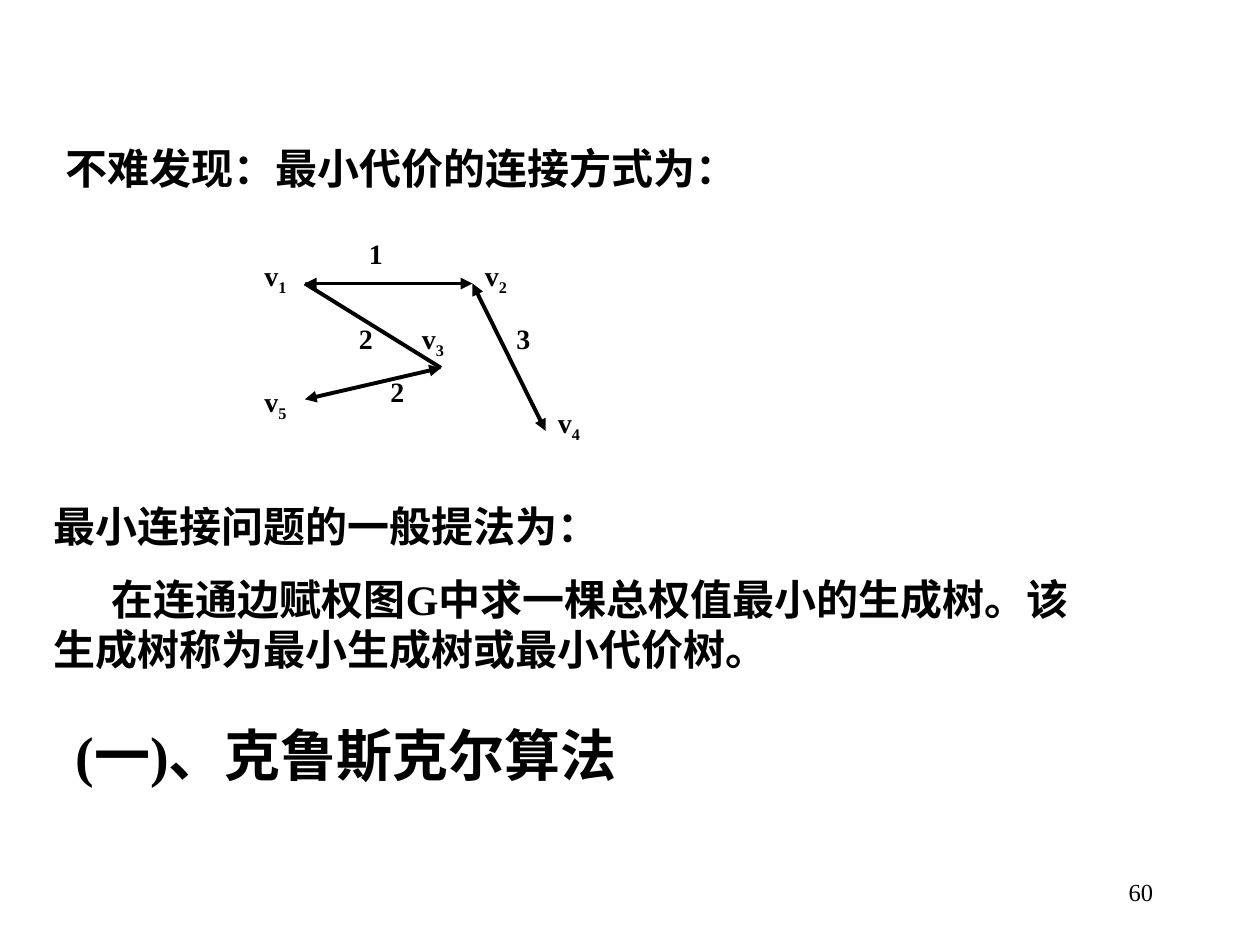
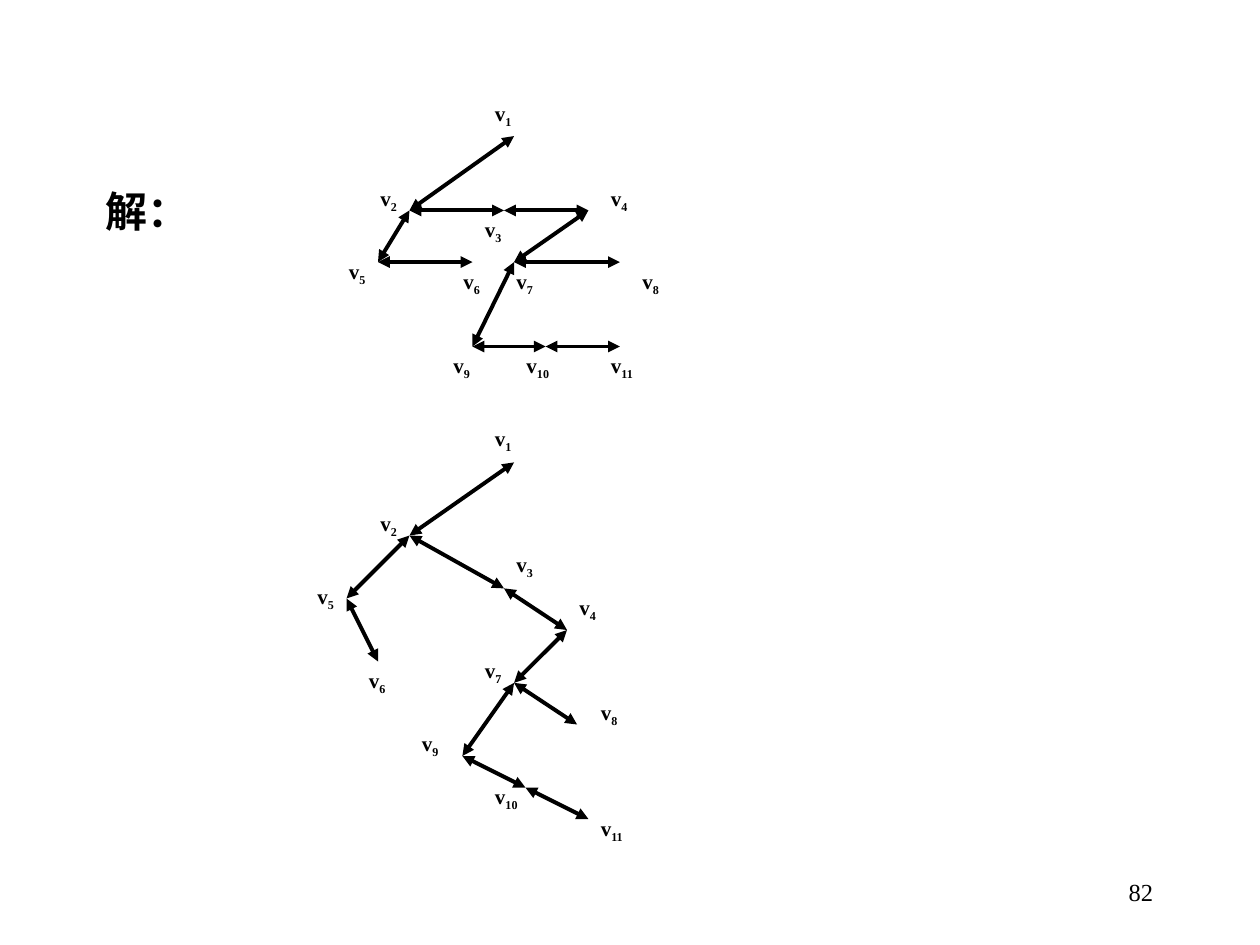
from dataclasses import dataclass

from lxml.etree import SubElement
from pptx import Presentation
from pptx.dml.color import RGBColor
from pptx.enum.shapes import MSO_CONNECTOR
from pptx.enum.text import MSO_ANCHOR, MSO_AUTO_SIZE, PP_ALIGN
from pptx.oxml.ns import qn
from pptx.shapes.connector import Connector
from pptx.shapes.group import GroupShape
from pptx.slide import Slide
from pptx.text.text import _Paragraph as Paragraph
from pptx.util import Inches, Pt

COLORS = {"ink": "000000", "paper": "FFFFFF"}
FONT = "Times New Roman"
EDGE_WIDTH = 2.25

Point = tuple[float, float]


@dataclass(frozen=True)
class TextLine:
    text: str
    left: float
    top: float
    width: float
    height: float = 0.5
    size: int = 24
    indent: float = 0


@dataclass(frozen=True)
class Vertex:
    number: int
    point: Point
    label: Point


@dataclass(frozen=True)
class Edge:
    start: int
    end: int
    arrows: bool = True


@dataclass(frozen=True)
class Weight:
    value: int
    label: Point


@dataclass(frozen=True)
class Graph:
    vertices: list[Vertex]
    edges: list[Edge]
    label_size: int
    weights: tuple[Weight, ...] = ()


@dataclass(frozen=True)
class Page:
    number: int
    lines: list[TextLine]
    graphs: list[Graph]


CONNECTION_GRAPH = Graph(
    [
        Vertex(1, (2.42, 2.25), (2, 2)),
        Vertex(2, (3.75, 2.25), (3.75, 2)),
        Vertex(3, (3.5, 2.92), (3.25, 2.5)),
        Vertex(4, (4.33, 3.42), (4.33, 3.17)),
        Vertex(5, (2.42, 3.17), (2, 3)),
    ],
    [Edge(1, 3, arrows=False), Edge(1, 2), Edge(2, 4), Edge(5, 3)],
    label_size=16,
    weights=(
        Weight(1, (2.83, 1.83)),
        Weight(2, (3, 2.92)),
        Weight(2, (2.75, 2.5)),
        Weight(3, (4, 2.5)),
    ),
)

TREE_EDGES = [
    Edge(1, 2), Edge(2, 5), Edge(2, 3), Edge(3, 4), Edge(4, 7),
    Edge(5, 6), Edge(7, 8), Edge(7, 9), Edge(9, 10), Edge(10, 11),
]

UPPER_TREE = Graph(
    [
        Vertex(1, (4.08, 1.08), (3.83, 0.75)),
        Vertex(2, (3.25, 1.67), (2.92, 1.42)),
        Vertex(3, (4, 1.67), (3.75, 1.67)),
        Vertex(4, (4.67, 1.67), (4.75, 1.42)),
        Vertex(5, (3, 2.08), (2.67, 2)),
        Vertex(6, (3.75, 2.08), (3.58, 2.08)),
        Vertex(7, (4.08, 2.08), (4, 2.08)),
        Vertex(8, (4.92, 2.08), (5, 2.08)),
        Vertex(9, (3.75, 2.75), (3.5, 2.75)),
        Vertex(10, (4.33, 2.75), (4.08, 2.75)),
        Vertex(11, (4.92, 2.75), (4.75, 2.75)),
    ],
    TREE_EDGES,
    label_size=12,
)

LOWER_TREE = Graph(
    [
        Vertex(1, (4.08, 3.67), (3.83, 3.33)),
        Vertex(2, (3.25, 4.25), (2.92, 4)),
        Vertex(3, (4, 4.67), (4, 4.33)),
        Vertex(4, (4.5, 5), (4.5, 4.67)),
        Vertex(5, (2.75, 4.75), (2.42, 4.58)),
        Vertex(6, (3, 5.25), (2.83, 5.25)),
        Vertex(7, (4.08, 5.42), (3.75, 5.17)),
        Vertex(8, (4.58, 5.75), (4.67, 5.5)),
        Vertex(9, (3.67, 6), (3.25, 5.75)),
        Vertex(10, (4.17, 6.25), (3.83, 6.17)),
        Vertex(11, (4.67, 6.5), (4.67, 6.42)),
    ],
    TREE_EDGES,
    label_size=12,
)

PAGES = [
    Page(
        60,
        [
            TextLine("不难发现：最小代价的连接方式为：", 0.42, 1.08, 8.25),
            TextLine("最小连接问题的一般提法为：", 0.33, 3.92, 8.25),
            TextLine(
                "在连通边赋权图G中求一棵总权值最小的生成树。"
                "该生成树称为最小生成树或最小代价树。",
                0.33, 4.5, 8.25, height=0.9, indent=0.46,
            ),
            TextLine("(一)、克鲁斯克尔算法", 0.5, 5.67, 7.33, height=0.64, size=32),
        ],
        [CONNECTION_GRAPH],
    ),
    Page(
        82,
        [TextLine("解：", 0.58, 1.42, 8.75, indent=0.16)],
        [UPPER_TREE, LOWER_TREE],
    ),
]


def add_text(parent: Slide | GroupShape, line: TextLine, bold: bool = True) -> Paragraph:
    """Add a text box and return its only paragraph."""
    box = parent.shapes.add_textbox(
        Inches(line.left), Inches(line.top), Inches(line.width), Inches(line.height)
    )
    frame = box.text_frame
    frame.word_wrap = True
    frame.auto_size = MSO_AUTO_SIZE.SHAPE_TO_FIT_TEXT
    paragraph = frame.paragraphs[0]
    paragraph.add_run().text = line.text
    if line.indent:
        paragraph._p.get_or_add_pPr().set("indent", str(Inches(line.indent)))
    font = paragraph.font
    font.name = FONT
    font.size = Pt(line.size)
    font.bold = bold
    font.color.rgb = RGBColor.from_string(COLORS["ink"])
    return paragraph


def add_page_number(slide: Slide, number: int) -> None:
    line = TextLine(str(number), 7.17, 6.83, 2.08, size=14)
    paragraph = add_text(slide, line, bold=False)
    paragraph.alignment = PP_ALIGN.RIGHT
    frame = slide.shapes[-1].text_frame
    frame.auto_size = MSO_AUTO_SIZE.NONE
    frame.vertical_anchor = MSO_ANCHOR.MIDDLE


def add_arrowheads(connector: Connector) -> None:
    outline = connector.line._get_or_add_ln()
    for end in ("a:headEnd", "a:tailEnd"):
        SubElement(outline, qn(end), type="triangle")


def add_edge(group: GroupShape, start: Point, end: Point, arrows: bool) -> None:
    connector = group.shapes.add_connector(
        MSO_CONNECTOR.STRAIGHT, *(Inches(value) for value in (*start, *end))
    )
    connector.line.width = Pt(EDGE_WIDTH)
    connector.line.color.rgb = RGBColor.from_string(COLORS["ink"])
    if arrows:
        add_arrowheads(connector)
    SubElement(connector._element.spPr, qn("a:effectLst"))


def add_vertex_label(group: GroupShape, vertex: Vertex, size: int) -> None:
    if size == 16:
        width, height = 0.52, 0.41
    else:
        width, height = (0.35 if vertex.number < 10 else 0.58), 0.33
    paragraph = add_text(group, TextLine("v", *vertex.label, width, height, size))
    subscript = paragraph.add_run()
    subscript.text = str(vertex.number)
    subscript._r.get_or_add_rPr().set("baseline", "-25000")


def add_graph(slide: Slide, graph: Graph) -> None:
    group = slide.shapes.add_group_shape()
    points = {vertex.number: vertex.point for vertex in graph.vertices}
    for edge in graph.edges:
        add_edge(group, points[edge.start], points[edge.end], edge.arrows)
    for vertex in graph.vertices:
        add_vertex_label(group, vertex, graph.label_size)
    for weight in graph.weights:
        line = TextLine(str(weight.value), *weight.label, 0.52, 0.37, graph.label_size)
        add_text(group, line)


def add_page(presentation: Presentation, page: Page) -> None:
    slide = presentation.slides.add_slide(presentation.slide_layouts[6])
    fill = slide.background.fill
    fill.solid()
    fill.fore_color.rgb = RGBColor.from_string(COLORS["paper"])
    add_page_number(slide, page.number)
    for graph in page.graphs:
        add_graph(slide, graph)
    for line in page.lines:
        add_text(slide, line)


def main() -> None:
    presentation = Presentation()
    presentation.slide_width = Inches(10)
    presentation.slide_height = Inches(7.5)
    for page in PAGES:
        add_page(presentation, page)
    presentation.save("out.pptx")


if __name__ == "__main__":
    main()
